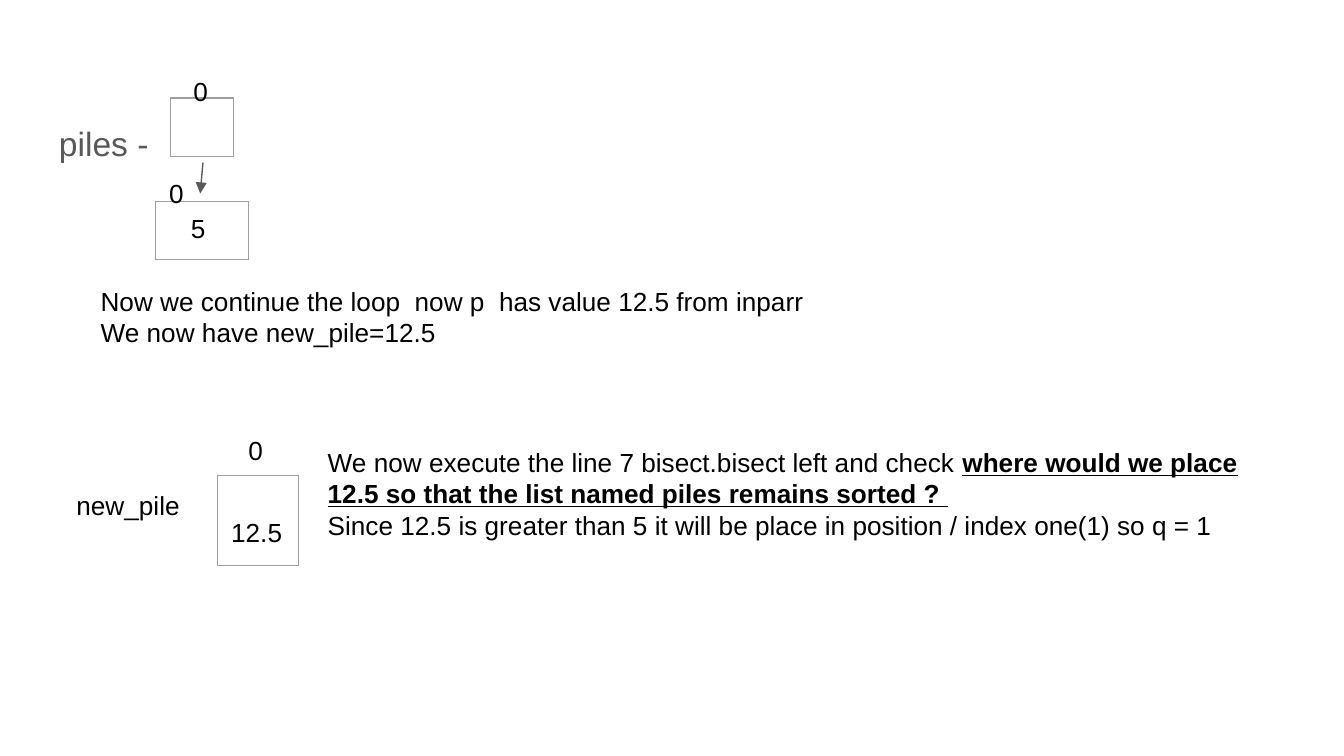
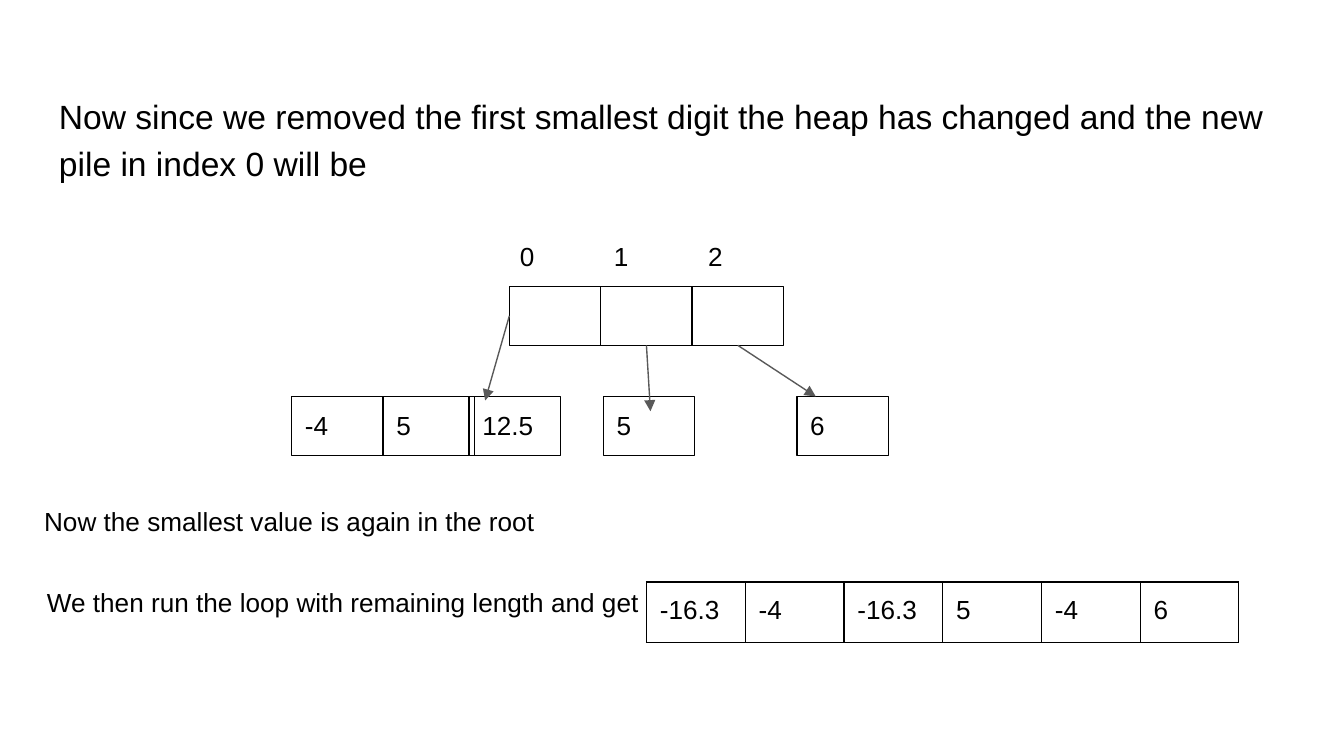
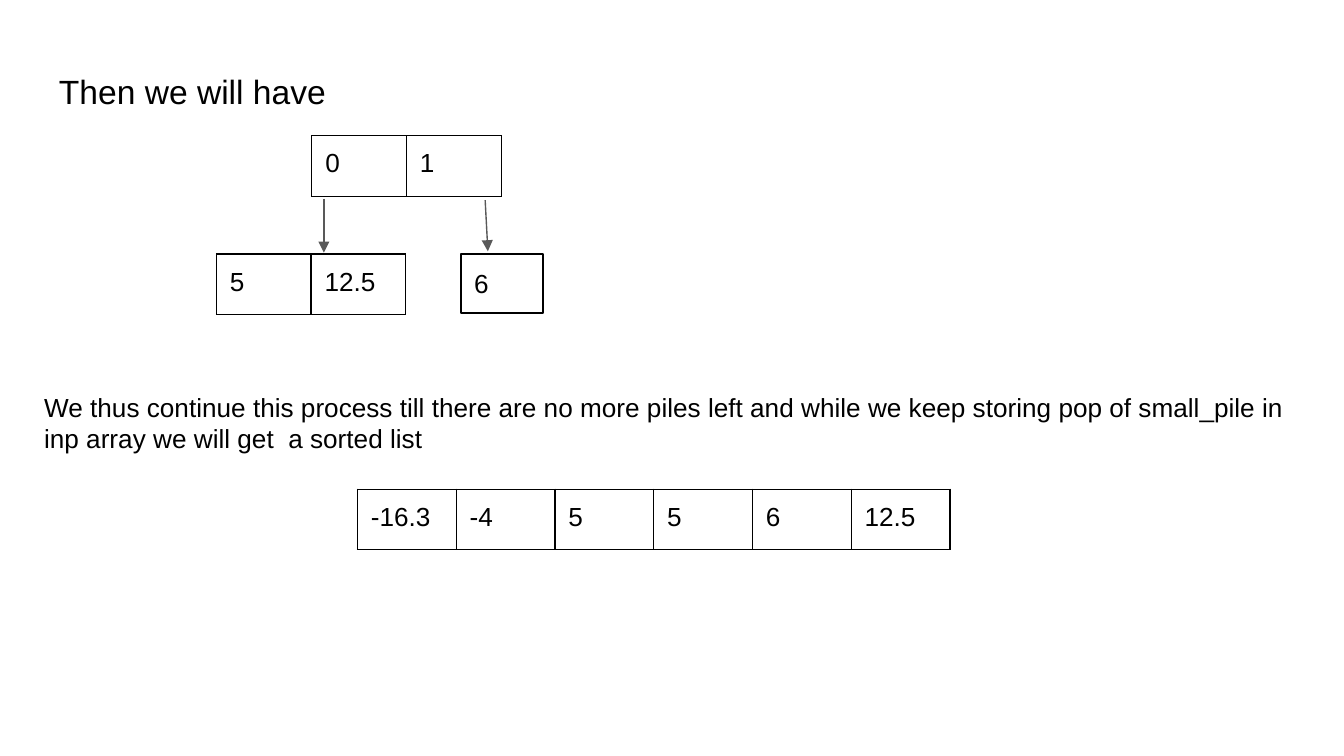
from dataclasses import dataclass
from lxml.etree import SubElement
from pptx import Presentation
from pptx.dml.color import RGBColor
from pptx.enum.shapes import MSO_CONNECTOR, MSO_SHAPE
from pptx.enum.text import MSO_ANCHOR, MSO_AUTO_SIZE, PP_ALIGN
from pptx.oxml.ns import qn
from pptx.util import Inches, Pt


@dataclass(frozen=True)
class Theme:
    font: str = "Arial"
    ink: str = "000000"
    muted: str = "595959"
    pale: str = "9E9E9E"
    heading: int = 18
    body: int = 14
    line: float = 0.75
    inset: float = 0.1


T = Theme()
LEFT, BOTTOM = 1, 2  # connection sites of a rectangle
BOX_W, BOX_H = 0.68, 0.44

# Content: boxes are (left, top, width, height); a paragraph is a string
# or a list of (text, emphasised) runs.
PILES = dict(
    heading=("piles -", (0.34, 0.42, 9.32, 4.78), dict(color=T.muted, top=0.45)),
    tables=[
        ([""], (1.27, 0.73, 0.47, 0.42), dict(border=T.pale)),
        (["12.5"], (1.62, 3.54, 0.6, 0.67), dict(border=T.pale, top=0.32)),
        (["5"], (1.16, 1.5, 0.69, 0.43), dict(border=T.pale, left=0.26)),
    ],
    notes=[
        (["0"], (1.34, 0.46, 0.34, 0.44)),
        (["Now we continue the loop  now p  has value 12.5 from inparr",
          "We now have new_pile=12.5"], (0.65, 2.02, 9.01, 0.91)),
        (["new_pile"], (0.47, 3.54, 1.04, 0.44)),
        (["0"], (1.75, 3.13, 0.34, 0.44)),
        ([[("We now execute the line 7 bisect.bisect left and check ", False),
           ("where would we place 12.5 so that the list named piles remains sorted ? ", True)],
          "Since 12.5 is greater than 5 it will be place in position / index one(1) so q = 1"],
         (2.34, 3.22, 7.13, 0.91)),
        (["0"], (1.16, 1.22, 0.23, 0.44)),
    ],
    arrows=[((1.51, 1.21), (1.49, 1.44))],
)

INDEX_X, INDEX_Y, PILE_Y = 3.79, 2.13, 2.95
HEAP = dict(
    heading=("Now since we removed the first smallest digit the heap has changed "
             "and the new pile in index 0 will be", (0.34, 0.57, 9.32, 2.95), {}),
    # index cells first, then the cells of each pile
    cells=[("", (INDEX_X + i * BOX_W, INDEX_Y, BOX_W, BOX_H)) for i in range(3)]
    + [(value, (x, PILE_Y, BOX_W, BOX_H)) for value, x in
       [("5", 2.85), ("12.5", 3.49), ("-4", 2.17), ("5", 4.49), ("6", 5.93)]],
    tables=[(["-16.3", "-4", "-16.3", "5", "-4", "6"], (4.81, 4.33, 4.41, 0.45), {})],
    notes=[
        (["0\t1\t2"], (3.77, 1.69, 2.06, 0.44)),
        (["Now the smallest value is again in the root"], (0.23, 3.66, 9.56, 0.44)),
        (["We then run the loop with remaining length and get"], (0.25, 4.26, 9.32, 0.44)),
    ],
    # a start is a point or (cell number, side)
    arrows=[((0, LEFT), (3.61, 2.98)), ((1, BOTTOM), (4.84, 3.06)),
            ((2, BOTTOM), (6.07, 2.95))],
    joined=True,
)

SORTED = dict(
    heading=("Then we will have", (0.34, 0.38, 9.32, 2.27), {}),
    tables=[
        (["0", "1"], (2.32, 1.01, 1.41, 0.45), {}),
        (["5", "12.5"], (1.61, 1.89, 1.41, 0.45), {}),
        (["-16.3", "-4", "5", "5", "6", "12.5"], (2.66, 3.64, 4.41, 0.45), {}),
    ],
    cells=[("6", (3.43, 1.89, 0.61, BOX_H))],
    notes=[(["We thus continue this process till there are no more piles left and while "
             "we keep storing pop of small_pile in inp array we will get  a sorted list"],
            (0.23, 2.81, 9.57, 0.67))],
    arrows=[((2.41, 1.48), (2.41, 1.88)), ((3.61, 1.49), (3.63, 1.87))],
)


def inches(values):
    return [Inches(v) for v in values]


def set_insets(target, left=T.inset, top=T.inset):
    target.margin_left, target.margin_top = Inches(left), Inches(top)
    target.margin_right = target.margin_bottom = Inches(T.inset)


def write(tf, paragraphs, size=T.body, color=T.ink, spacing=None, after=None):
    for i, runs in enumerate(paragraphs):
        p = tf.paragraphs[0] if i == 0 else tf.add_paragraph()
        p.alignment, p.font.size = PP_ALIGN.LEFT, Pt(size)
        if spacing:
            p.line_spacing, p.space_after = spacing, Pt(after)
        if isinstance(runs, str):
            runs = [(runs, False)] if runs else []
        for text, strong in runs:
            r = p.add_run()
            r.text = text
            r.font.name, r.font.size = T.font, Pt(size)
            r.font.color.rgb = RGBColor.from_string(color)
            r.font.bold = r.font.underline = strong
            if "\t" in text:  # labels stand above the index cells
                tabs = SubElement(p._p.get_or_add_pPr(), qn("a:tabLst"))
                for n in range(1, text.count("\t") + 1):
                    SubElement(tabs, qn("a:tab"), pos=str(Inches(0.7 * n)), algn="l")


def add_text(s, paragraphs, box, top=T.inset, grow=True, **fmt):
    tf = s.shapes.add_textbox(*inches(box)).text_frame
    tf.word_wrap = True
    tf.auto_size = MSO_AUTO_SIZE.SHAPE_TO_FIT_TEXT if grow else MSO_AUTO_SIZE.NONE
    set_insets(tf, top=top)
    write(tf, paragraphs, **fmt)


def add_cell(s, value, box):
    sp = s.shapes.add_shape(MSO_SHAPE.RECTANGLE, *inches(box))
    sp.shadow.inherit = False
    sp.fill.background()
    sp.line.color.rgb = RGBColor.from_string(T.ink)
    sp.line.width = Pt(T.line)
    tf = sp.text_frame
    tf.word_wrap, tf.vertical_anchor = True, MSO_ANCHOR.TOP
    set_insets(tf)
    write(tf, [value])
    return sp


def add_array(s, values, box, border=T.ink, **insets):
    table = s.shapes.add_table(1, len(values), *inches(box)).table
    table.first_row = table.horz_banding = False
    for column, cell, value in zip(table.columns, table.rows[0].cells, values):
        column.width = Inches(box[2] / len(values))
        set_insets(cell, **insets)
        write(cell.text_frame, [value])
        tc_pr = cell._tc.get_or_add_tcPr()
        for side in ("lnL", "lnR", "lnT", "lnB"):
            ln = SubElement(tc_pr, qn(f"a:{side}"), w=str(Pt(T.line)))
            SubElement(SubElement(ln, qn("a:solidFill")), qn("a:srgbClr"), val=border)
        cell.fill.background()


def add_arrow(s, start, end, cell=None, side=None):
    line = s.shapes.add_connector(MSO_CONNECTOR.STRAIGHT, *inches(start + end))
    if cell is not None:
        line.begin_connect(cell, side)
    line.line.color.rgb = RGBColor.from_string(T.muted)
    line.line.width = Pt(T.line)
    SubElement(line.line._get_or_add_ln(), qn("a:tailEnd"), type="triangle")
    SubElement(line._element.spPr, qn("a:effectLst"))


def build_slide(prs, content):
    s = prs.slides.add_slide(prs.slide_layouts[6])
    # Heading
    text, box, fmt = content["heading"]
    add_text(s, [text], box, grow=False, size=T.heading, spacing=1.15, after=12, **fmt)
    # Arrays and single cells
    for values, box, fmt in content["tables"]:
        add_array(s, values, box, **fmt)
    cells = [add_cell(s, value, box) for value, box in content.get("cells", [])]
    # Explanations and index labels
    for paragraphs, box in content["notes"]:
        add_text(s, paragraphs, box)
    # Arrows
    for start, end in content["arrows"]:
        if content.get("joined"):
            number, side = start
            add_arrow(s, end, end, cells[number], side)
        else:
            add_arrow(s, start, end)


def main():
    prs = Presentation()
    prs.slide_width = Inches(10)
    prs.slide_height = prs.slide_width * 9 // 16
    for content in (PILES, HEAP, SORTED):
        build_slide(prs, content)
    prs.save("out.pptx")


if __name__ == "__main__":
    main()
